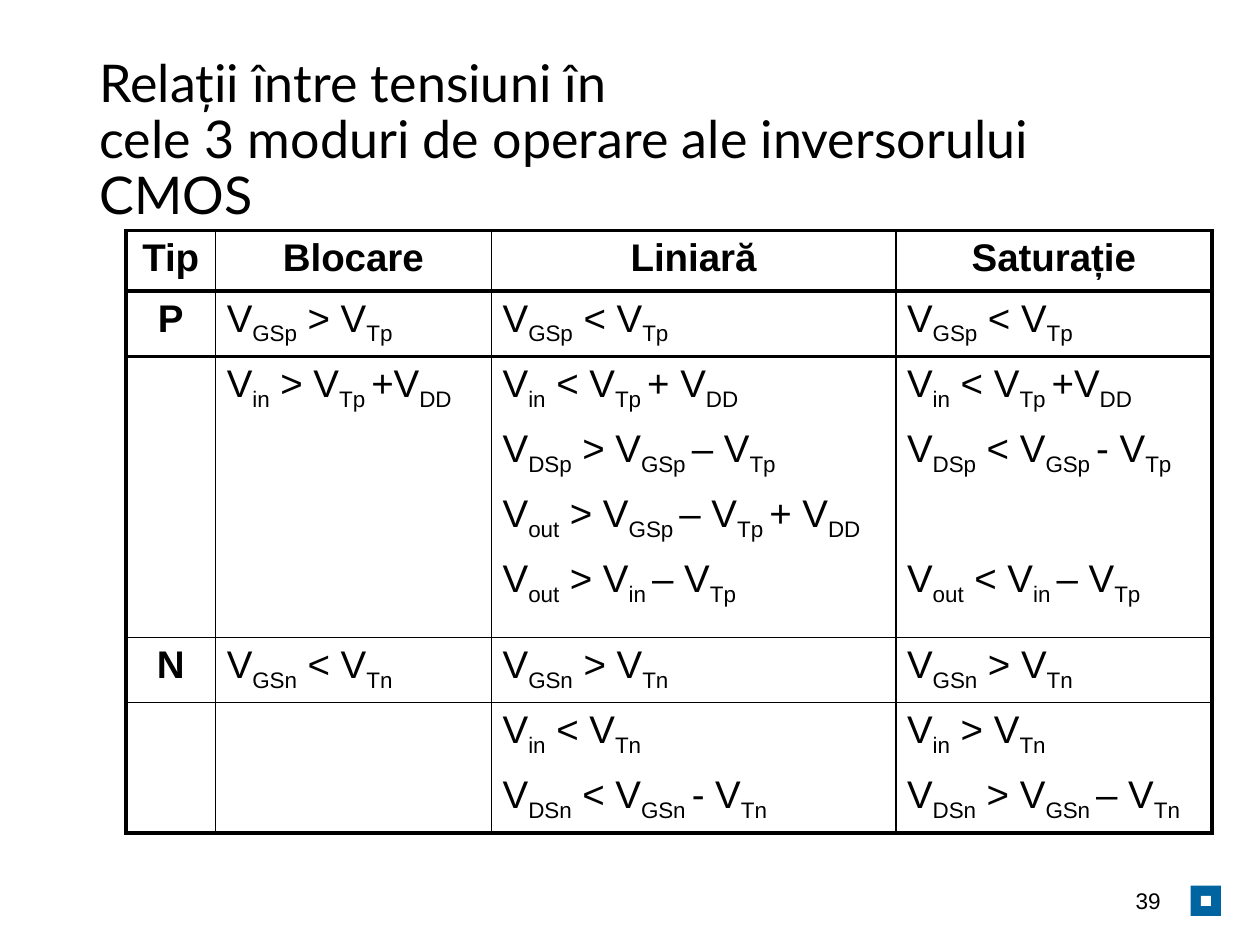
"""Build a slide with a table of voltage relations in a CMOS inverter."""
import lxml.etree
import pptx
import pptx.dml.color
import pptx.enum.shapes
import pptx.enum.text
import pptx.oxml.ns
import pptx.util

Inches = pptx.util.Inches
ALIGN = pptx.enum.text.PP_ALIGN
MIDDLE = pptx.enum.text.MSO_ANCHOR.MIDDLE


def color(value):
    return pptx.dml.color.RGBColor.from_string(value)


def write(frame, text, size=22, font="Arial", bold=False, align=ALIGN.LEFT, spacing=None, anchor=None):
    """Write text, lowering each part between underscores to a subscript."""
    frame.word_wrap = True
    if anchor is not None:
        frame.vertical_anchor = anchor
    paragraph = frame.paragraphs[0]
    paragraph.alignment = align
    paragraph.line_spacing = spacing
    for line_number, line in enumerate(text.split("\n")):
        if line_number:
            paragraph.add_line_break()
        for position, part in enumerate(line.split("_")):
            if not part:
                continue
            run = paragraph.add_run()
            run.text = part
            run.font.size = pptx.util.Pt(size)
            run.font.name = font
            run.font.bold = bold
            run.font.color.rgb = color("000000")
            if position % 2:
                run.font._element.set("baseline", "-25000")


deck = pptx.Presentation()
deck.slide_width, deck.slide_height = Inches(10), Inches(7.5)
slide = deck.slides.add_slide(deck.slide_layouts[6])

for left, top, side, shade in [(9.45, 7.03, 0.24, "0064A0"), (9.53, 7.11, 0.08, "FFFFFF")]:
    marker = slide.shapes.add_shape(
        pptx.enum.shapes.MSO_SHAPE.RECTANGLE, Inches(left), Inches(top), Inches(side), Inches(side))
    marker.shadow.inherit = False
    marker.fill.solid()
    marker.fill.fore_color.rgb = color(shade)
    marker.line.fill.background()

heading = slide.shapes.add_textbox(Inches(0.69), Inches(0.4), Inches(8.62), Inches(1.45))
write(heading.text_frame, "Relații între tensiuni în \ncele 3 moduri de operare ale inversorului CMOS",
      size=29.7, font="Lato", spacing=0.9, anchor=MIDDLE)

page_number = slide.shapes.add_textbox(Inches(7.06), Inches(6.95), Inches(2.25), Inches(0.4))
write(page_number.text_frame, "39", size=12.9, align=ALIGN.RIGHT, anchor=MIDDLE)

relations = [
    ["Tip", "Blocare", "Liniară", "Saturație"],
    ["P", "V_GSp_ > V_Tp_", "V_GSp_ < V_Tp_", "V_GSp_ < V_Tp_"],
    ["", "V_in_ > V_Tp _+V_DD_", "V_in_ < V_Tp _+ V_DD_", "V_in_ < V_Tp _+V_DD_"],
    ["", "", "V_DSp_ > V_GSp _– V_Tp_", "V_DSp_ < V_GSp _- V_Tp_"],
    ["", "", "V_out_ > V_GSp _– V_Tp _+ V_DD_", ""],
    ["", "", "V_out_ > V_in _– V_Tp_", "V_out_ < V_in _– V_Tp_"],
    ["N", "V_GSn_ < V_Tn_", "V_GSn_ > V_Tn_", "V_GSn_ > V_Tn_"],
    ["", "", "V_in_ < V_Tn_", "V_in_ > V_Tn_"],
    ["", "", "V_DSn_ < V_GSn _- V_Tn_", "V_DSn_ > V_GSn _– V_Tn_"],
]
column_widths = [0.71, 2.19, 3.21, 2.51]
row_heights = [0.48] + [0.46] * 4 + [0.68] + [0.46] * 3
vertical_rules = [2.25, 1, 1, 1, 2.25]
horizontal_rules = {0: 2.25, 1: 2.25, 6: 1, 9: 2.25}

table = slide.shapes.add_table(
    len(row_heights), len(column_widths), Inches(1), Inches(1.83),
    Inches(sum(column_widths)), Inches(sum(row_heights))).table
table.first_row = table.horz_banding = False
table_style = table._tbl.tblPr.find(pptx.oxml.ns.qn("a:tableStyleId"))
table_style.text = "{2D5ABB26-0587-4C30-8999-92F81FD0307C}"
for column, width in zip(table.columns, column_widths):
    column.width = Inches(width)
for row, height in zip(table.rows, row_heights):
    row.height = Inches(height)

for r, row_texts in enumerate(relations):
    for c, text in enumerate(row_texts):
        cell = table.cell(r, c)
        cell.margin_left = cell.margin_right = Inches(0.09)
        cell.margin_top = cell.margin_bottom = Inches(0.05)
        is_label = r == 0 or c == 0
        write(cell.text_frame, text, bold=is_label, align=ALIGN.CENTER if is_label else ALIGN.LEFT)
        borders = {"L": vertical_rules[c], "R": vertical_rules[c + 1],
                   "T": horizontal_rules.get(r), "B": horizontal_rules.get(r + 1)}
        properties = cell._tc.get_or_add_tcPr()
        for side, weight in borders.items():
            if weight:
                edge = lxml.etree.SubElement(
                    properties, pptx.oxml.ns.qn("a:ln" + side), w=str(pptx.util.Pt(weight)))
                ink = lxml.etree.SubElement(edge, pptx.oxml.ns.qn("a:solidFill"))
                lxml.etree.SubElement(ink, pptx.oxml.ns.qn("a:srgbClr"), val="000000")
        cell.fill.background()

deck.save("out.pptx")
